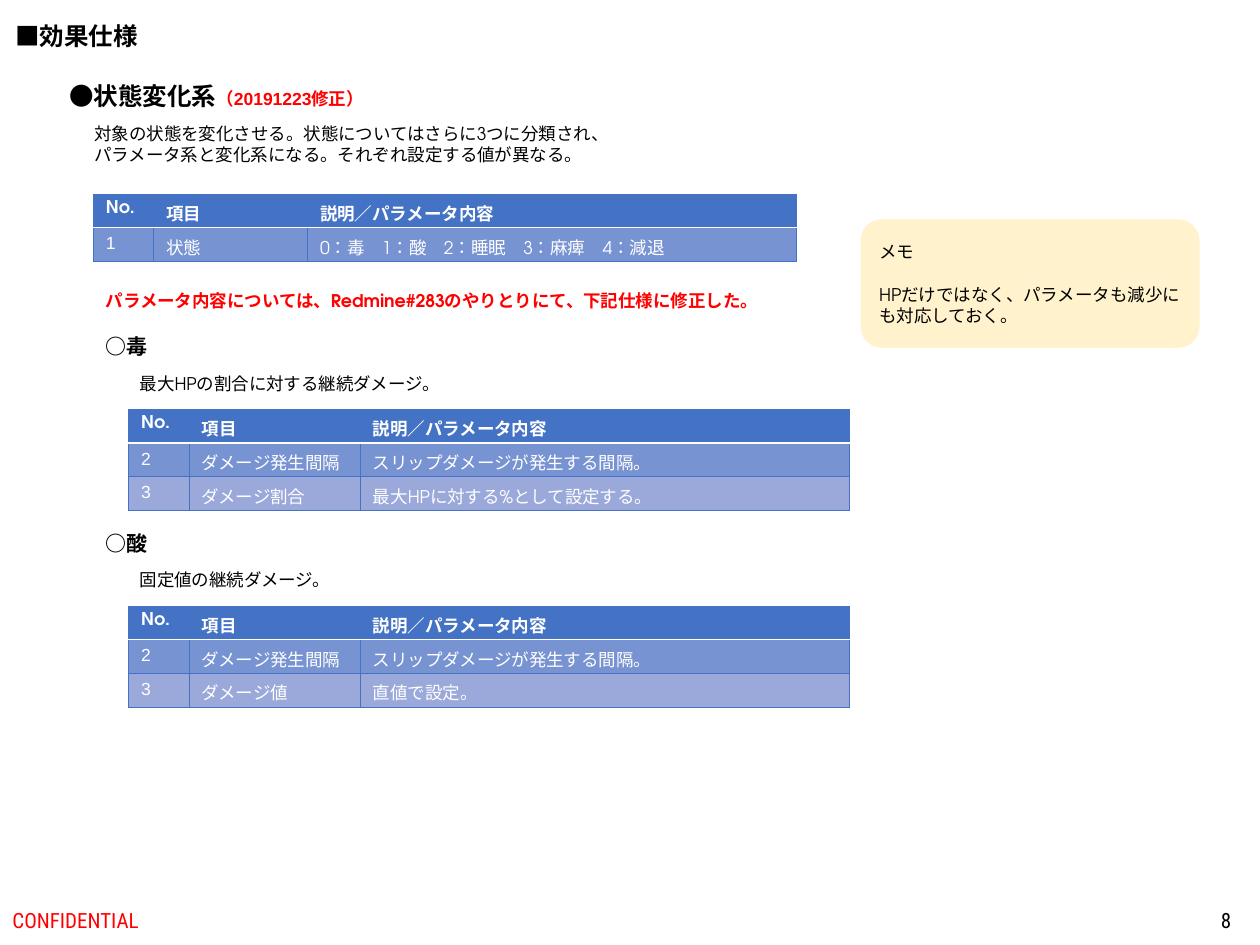
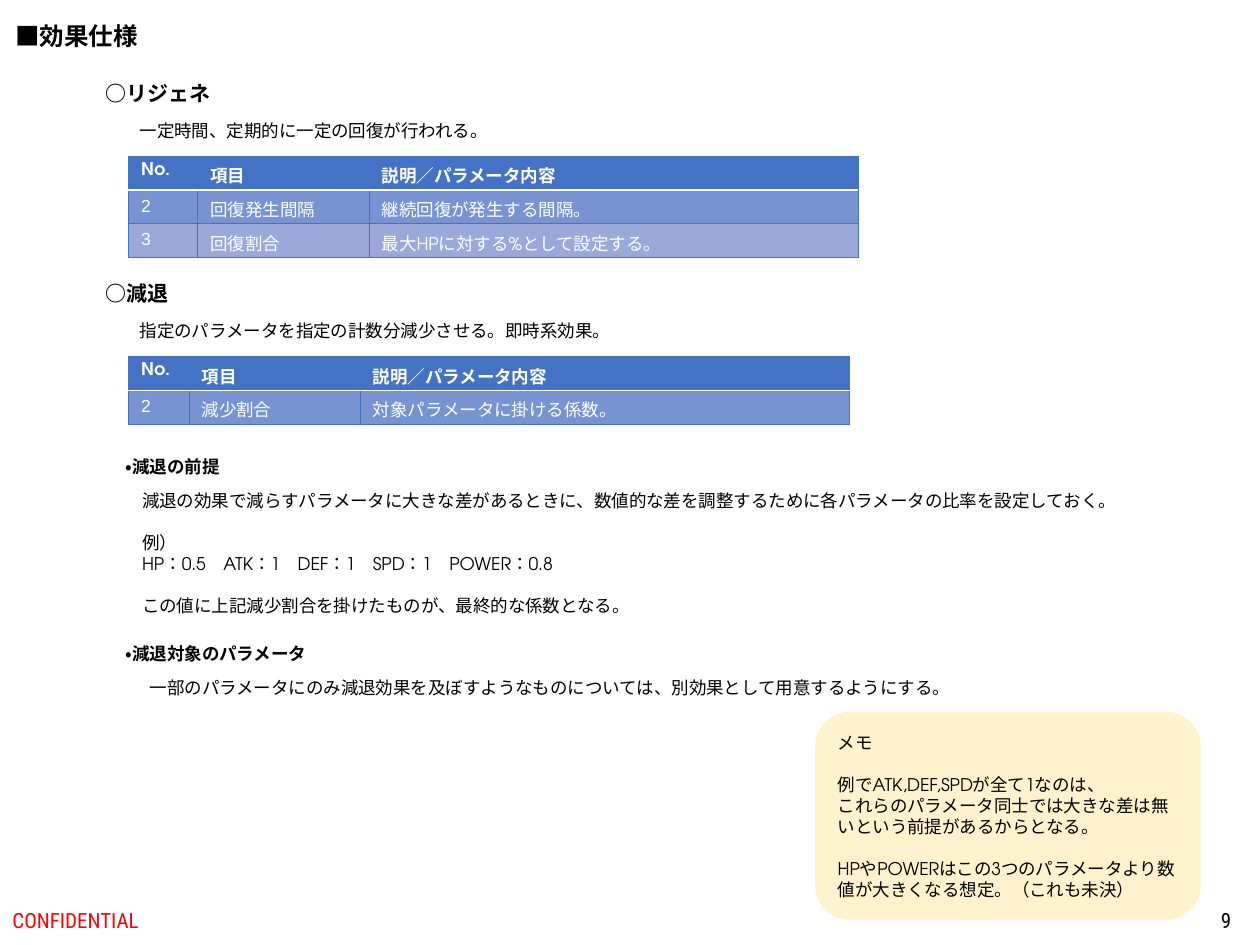
from dataclasses import dataclass
from lxml import etree
from pptx import Presentation
from pptx.dml.color import RGBColor
from pptx.enum.lang import MSO_LANGUAGE_ID
from pptx.enum.shapes import MSO_SHAPE
from pptx.enum.text import MSO_ANCHOR, MSO_AUTO_SIZE, PP_ALIGN
from pptx.oxml.ns import qn
from pptx.util import Inches, Pt

JAPANESE = MSO_LANGUAGE_ID.JAPANESE
ROUNDED = MSO_SHAPE.ROUNDED_RECTANGLE
TOP, MIDDLE = MSO_ANCHOR.TOP, MSO_ANCHOR.MIDDLE
FIT_SHAPE, NO_FIT = MSO_AUTO_SIZE.SHAPE_TO_FIT_TEXT, MSO_AUTO_SIZE.NONE
LEFT, RIGHT = PP_ALIGN.LEFT, PP_ALIGN.RIGHT
TITLE_ONLY = 5


@dataclass(frozen=True)
class Style:
    font: str
    size: int
    color: str
    bold: bool = False


class Theme:
    sans, display, condensed = "Arial", "TeX Gyre Adventor", "Roboto Condensed"
    black, white, red = "000000", "FFFFFF", "FF0000"
    blue, memo_fill = "4472C4", "FFF2CC"
    bands = ("7893D1", "9AA9DA")
    title = Style(sans, 14, black, True)
    topic = Style(display, 14, black, True)
    revision = Style(sans, 10, red, True)
    heading = Style(display, 12, black, True)
    point = Style(display, 10, black, True)
    alert = Style(display, 10, red, True)
    body = Style(display, 10, black)
    table_head = Style(display, 10, white, True)
    table_number = Style(sans, 10, white)
    table_body = Style(display, 10, white)
    confidential = Style(condensed, 12, red)
    page_number = Style(condensed, 12, black)


TITLE = "■効果仕様"
TABLE_HEAD = ("No.", "項目", "説明／パラメータ内容")
WIDE_COLUMNS = (0.48, 1.36, 3.88)
ROW_HEIGHT = 0.267
INTERVAL_ROW = ("2", "ダメージ発生間隔", "スリップダメージが発生する間隔。")

PAGES = [
    {
        "number": "8",
        "texts": [
            (0.45, 0.59, 2.79, [[[("●状態変化系", Theme.topic),
                                  ("（20191223修正）", Theme.revision)]]]),
            (0.65, 0.93, 4.41, [[
                [("対象の状態を変化させる。状態についてはさらに3つに分類され、", Theme.body)],
                [("パラメータ系と変化系になる。それぞれ設定する値が異なる。", Theme.body)]]]),
            (0.74, 2.25, 5.49, [[[(
                "パラメータ内容については、Redmine#283のやりとりにて、下記仕様に修正した。",
                Theme.alert)]]]),
        ],
        "tables": [
            (0.74, 1.54, (0.48, 1.22, 3.88),
             [("1", "状態", "0：毒　1：酸　2：睡眠　3：麻痺　4：減退")]),
        ],
        "sections": [
            {"top": 2.6, "heading": ("○毒", 0.54),
             "summary": ("最大HPの割合に対する継続ダメージ。", 2.62),
             "columns": WIDE_COLUMNS,
             "rows": [INTERVAL_ROW,
                      ("3", "ダメージ割合", "最大HPに対する%として設定する。")]},
            {"top": 4.16, "heading": ("○酸", 0.54),
             "summary": ("固定値の継続ダメージ。", 1.74),
             "columns": WIDE_COLUMNS,
             "rows": [INTERVAL_ROW, ("3", "ダメージ値", "直値で設定。")]},
        ],
        "memo": (6.83, 1.74, 2.69, 1.02, [
            ["メモ"],
            ["HPだけではなく、パラメータも減少にも対応しておく。"]]),
    },
    {
        "number": "9",
        "texts": [
            (0.9, 3.57, 1.04, [[[("・減退の前提", Theme.point)]]]),
            (1.03, 3.84, 8.06, [
                [[("減退の効果で減らすパラメータに大きな差があるときに、"
                   "数値的な差を調整するために各パラメータの比率を設定しておく。", Theme.body)]],
                [[("例）", Theme.body)],
                 [("HP：0.5　ATK：1　DEF：1　SPD：1　POWER：0.8", Theme.body)]],
                [[("この値に上記減少割合を掛けたものが、最終的な係数となる。", Theme.body)]]]),
            (0.9, 5.05, 1.74, [[[("・減退対象のパラメータ", Theme.point)]]]),
            (1.09, 5.32, 6.65, [[[(
                "一部のパラメータにのみ減退効果を及ぼすようなものについては、"
                "別効果として用意するようにする。", Theme.body)]]]),
        ],
        "tables": [],
        "sections": [
            {"top": 0.59, "heading": ("○リジェネ", 1.04),
             "summary": ("一定時間、定期的に一定の回復が行われる。", 3.01),
             "columns": (0.55, 1.36, 3.88),
             "rows": [("2", "回復発生間隔", "継続回復が発生する間隔。"),
                      ("3", "回復割合", "最大HPに対する%として設定する。")]},
            {"top": 2.18, "heading": ("○減退", 0.71),
             "summary": ("指定のパラメータを指定の計数分減少させる。即時系効果。", 3.99),
             "columns": WIDE_COLUMNS,
             "rows": [("2", "減少割合", "対象パラメータに掛ける係数。")]},
        ],
        "memo": (6.47, 5.65, 3.06, 1.65, [
            ["メモ"],
            ["例でATK,DEF,SPDが全て1なのは、",
             "これらのパラメータ同士では大きな差は無いという前提があるからとなる。"],
            ["HPやPOWERはこの3つのパラメータより数値が大きくなる想定。（これも未決）"]]),
    },
]


def write_text(frame, groups, align=LEFT):
    para = None
    for group_index, group in enumerate(groups):
        for line_index, line in enumerate(group):
            para = frame.add_paragraph() if para is not None else frame.paragraphs[0]
            para.alignment = align
            if group_index and not line_index:
                para.space_before = Pt(line[0][1].size * 1.2)
            for text, style in line:
                span = para.add_run()
                span.text = text
                span.font.name = style.font
                span.font.size = Pt(style.size)
                span.font.bold = style.bold
                span.font.color.rgb = RGBColor.from_string(style.color)
                span.font.language_id = JAPANESE


def add_text(page, left, top, width, groups):
    line_count = sum(len(group) for group in groups) + len(groups) - 1
    height = 0.1 + line_count * groups[0][0][0][1].size / 60
    box = page.shapes.add_textbox(Inches(left), Inches(top), Inches(width), Inches(height))
    box.text_frame.word_wrap = False
    box.text_frame.auto_size = FIT_SHAPE
    write_text(box.text_frame, groups)


def add_title(page):
    title = page.shapes.title
    title.left, title.top = Inches(0.02), Inches(0.12)
    title.width, title.height = Inches(1.18), Inches(0.34)
    frame = title.text_frame
    frame.word_wrap = False
    frame.auto_size = NO_FIT
    frame.vertical_anchor = TOP
    write_text(frame, [[[(TITLE, Theme.title)]]])


def add_footer(page, left, width, text, style, align):
    box = page.shapes.add_textbox(Inches(left), Inches(7.1), Inches(width), Inches(0.4))
    box.text_frame.word_wrap = True
    box.text_frame.vertical_anchor = MIDDLE
    write_text(box.text_frame, [[[(text, style)]]], align)


def set_borders(cell, sides):
    properties = cell._tc.get_or_add_tcPr()
    for index, (side, (color, points)) in enumerate(sides.items()):
        line = etree.Element(qn(f"a:ln{side}"), w=str(Pt(points)))
        fill = etree.SubElement(line, qn("a:solidFill"))
        etree.SubElement(fill, qn("a:srgbClr"), val=color)
        properties.insert(index, line)


def add_grid(page, left, top, columns, rows):
    lines = [TABLE_HEAD, *rows]
    table = page.shapes.add_table(
        len(lines), len(columns), Inches(left), Inches(top),
        Inches(sum(columns)), Inches(ROW_HEIGHT * len(lines))).table
    table.horz_banding = False
    for column, width in zip(table.columns, columns):
        column.width = Inches(width)
    edge, divider = (Theme.blue, 0.5), (Theme.white, 1)
    for row_index, line in enumerate(lines):
        table.rows[row_index].height = Inches(ROW_HEIGHT)
        is_head = row_index == 0
        color = Theme.blue if is_head else Theme.bands[(row_index - 1) % 2]
        for column_index, text in enumerate(line):
            cell = table.cell(row_index, column_index)
            cell.fill.solid()
            cell.fill.fore_color.rgb = RGBColor.from_string(color)
            set_borders(cell, {"L": edge, "R": edge,
                               "T": divider if row_index == 1 else edge,
                               "B": divider if is_head else edge})
            style = Theme.table_number if column_index == 0 else Theme.table_body
            write_text(cell.text_frame, [[[(text, Theme.table_head if is_head else style)]]])


def add_section(page, section):
    top = section["top"]
    heading, heading_width = section["heading"]
    summary, summary_width = section["summary"]
    add_text(page, 0.74, top, heading_width, [[[(heading, Theme.heading)]]])
    add_text(page, 1.01, top + 0.31, summary_width, [[[(summary, Theme.body)]]])
    add_grid(page, 1.02, top + 0.65, section["columns"], section["rows"])


def add_memo(page, left, top, width, height, groups):
    memo = page.shapes.add_shape(
        ROUNDED, Inches(left), Inches(top), Inches(width), Inches(height))
    memo.shadow.inherit = False
    memo.fill.solid()
    memo.fill.fore_color.rgb = RGBColor.from_string(Theme.memo_fill)
    memo.line.fill.background()
    memo.text_frame.word_wrap = True
    memo.text_frame.vertical_anchor = MIDDLE
    write_text(memo.text_frame,
               [[[(text, Theme.body)] for text in group] for group in groups])


def main():
    deck = Presentation()
    deck.slide_width, deck.slide_height = Inches(10), Inches(7.5)
    for content in PAGES:
        page = deck.slides.add_slide(deck.slide_layouts[TITLE_ONLY])
        add_title(page)
        add_footer(page, 0, 3.38, "CONFIDENTIAL", Theme.confidential, LEFT)
        add_footer(page, 7.62, 2.25, content["number"], Theme.page_number, RIGHT)
        for text in content["texts"]:
            add_text(page, *text)
        for grid in content["tables"]:
            add_grid(page, *grid)
        for section in content["sections"]:
            add_section(page, section)
        add_memo(page, *content["memo"])
    deck.save("out.pptx")


if __name__ == "__main__":
    main()
